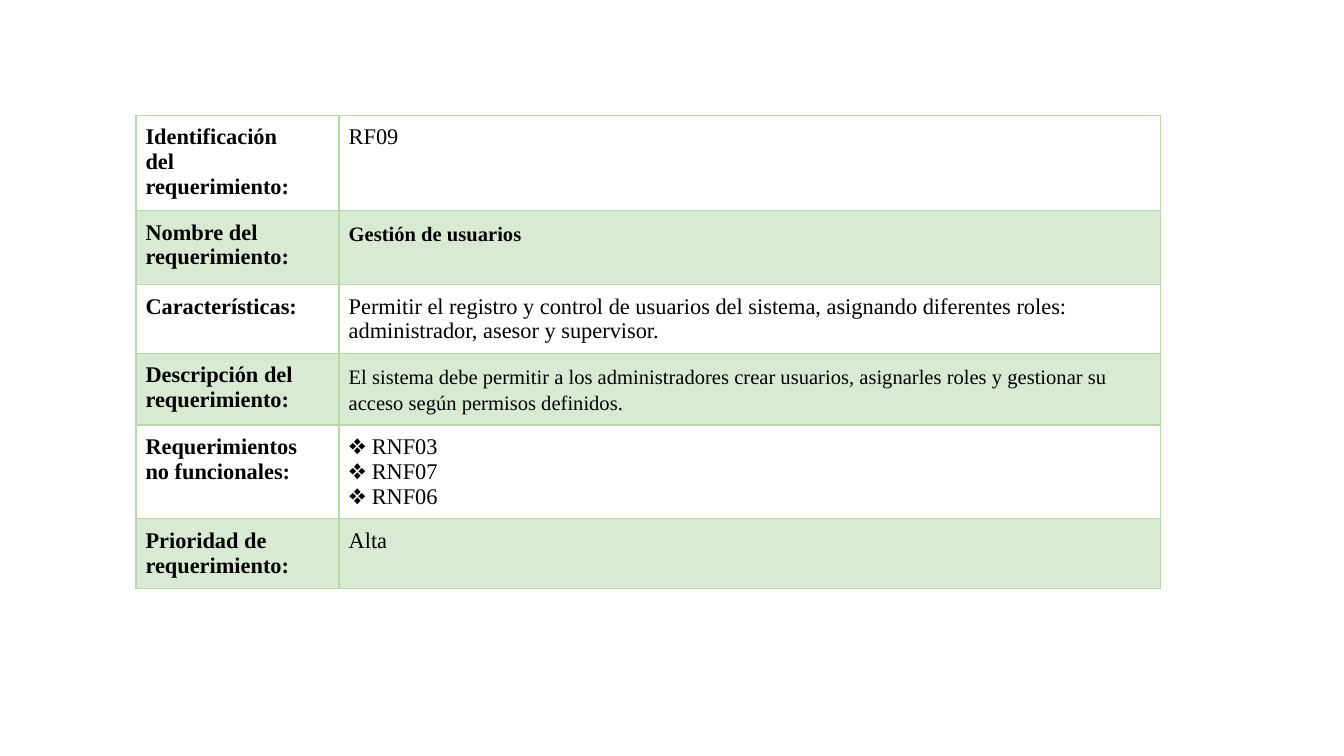
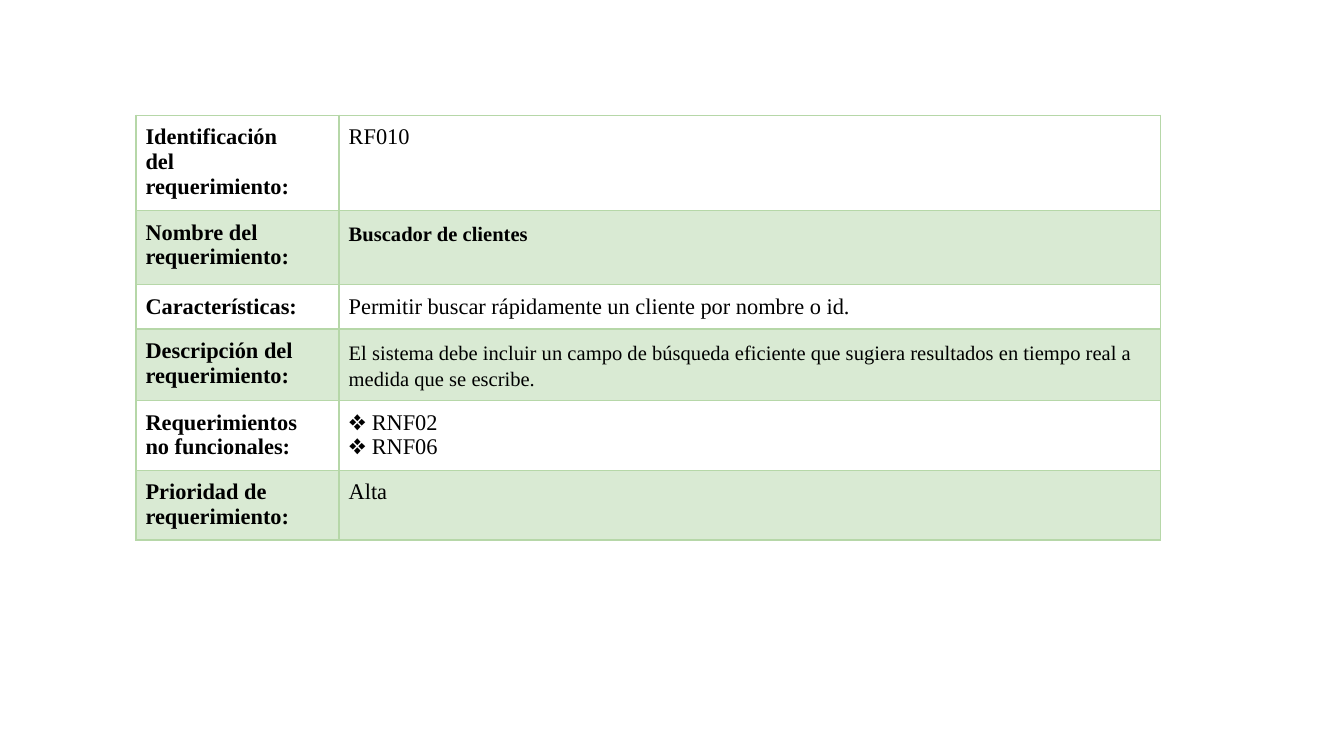
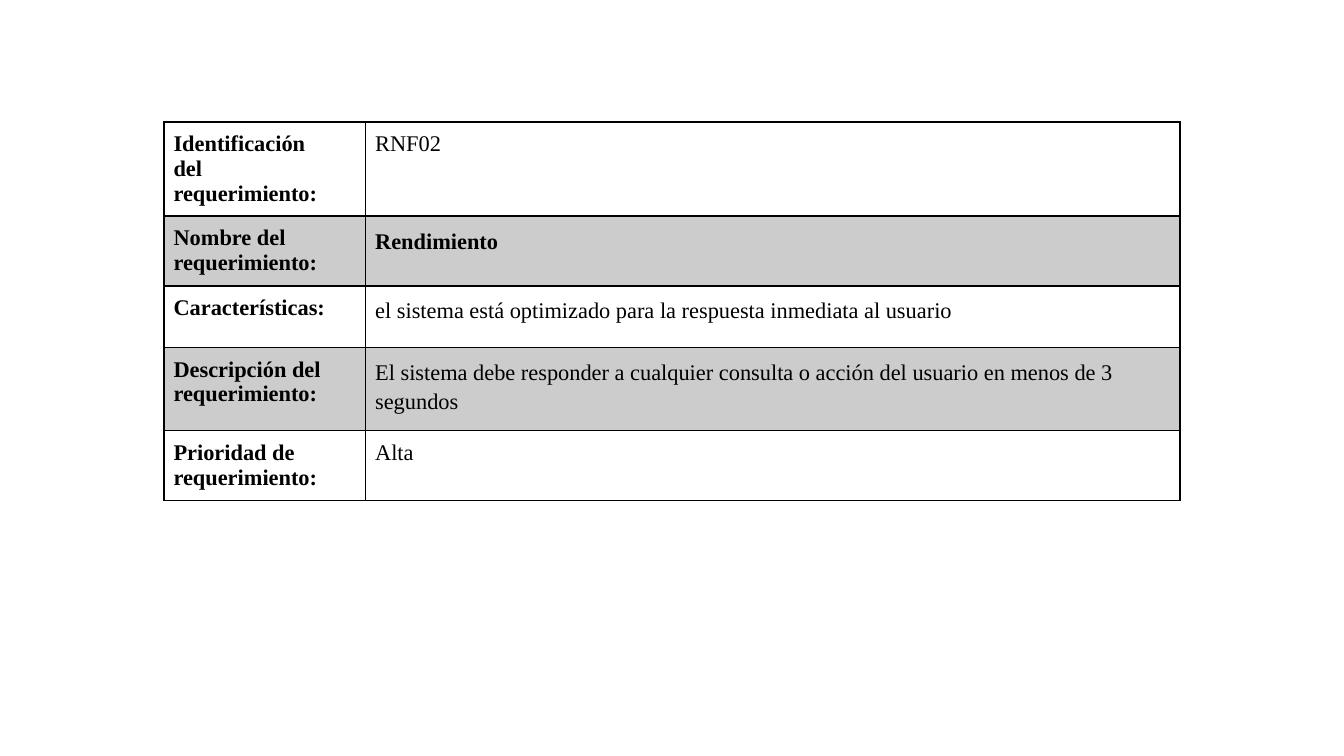
from lxml.etree import SubElement
from pptx import Presentation
from pptx.dml.color import RGBColor
from pptx.oxml.ns import qn
from pptx.util import Cm, Pt

FONT = "Times New Roman"
BLACK = "000000"
GREEN = {"line": "B6D7A8", "band": "D9EAD3"}
GRAY = {"line": BLACK, "band": "CCCCCC"}

ID = "Identificación\ndel\nrequerimiento:"
NAME = "Nombre del\nrequerimiento:"
FEATURES = "Características:"
DESCRIPTION = "Descripción del\nrequerimiento:"
NON_FUNCTIONAL = "Requerimientos\nno funcionales:"
PRIORITY = "Prioridad de\nrequerimiento:"


def rgb(value):
    return RGBColor.from_string(value)


def write(tf, text, size=12, bold=False, color=BLACK, spacing=None, before=None, after=None):
    tf.word_wrap = True
    for i, line in enumerate(text.split("\n")):
        p = tf.paragraphs[0] if i == 0 else tf.add_paragraph()
        p.line_spacing = spacing
        if before is not None:
            p.space_before = Pt(before)
        if after is not None:
            p.space_after = Pt(after)
        r = p.add_run()
        r.text = line
        r.font.name = FONT
        r.font.size = Pt(size)
        r.font.bold = bold
        r.font.color.rgb = rgb(color)


class Deck:
    def __init__(self, prs):
        self.prs = prs
        self.s = None
        self.style = GREEN

    def slide(self, style):
        self.s = self.prs.slides.add_slide(self.prs.slide_layouts[6])
        self.style = style

    def borders(self, cell):
        tcPr = cell._tc.get_or_add_tcPr()
        for side in ("a:lnL", "a:lnR", "a:lnT", "a:lnB"):
            ln = SubElement(tcPr, qn(side), w=str(Pt(1)))
            fill = SubElement(ln, qn("a:solidFill"))
            SubElement(fill, qn("a:srgbClr"), val=self.style["line"])

    def cell(self, cell, text, banded, **fmt):
        cell.margin_left = cell.margin_right = Cm(0.18)
        cell.margin_top = cell.margin_bottom = Cm(0.18)
        self.borders(cell)
        if banded:
            cell.fill.solid()
            cell.fill.fore_color.rgb = rgb(self.style["band"])
        else:
            cell.fill.background()
        write(cell.text_frame, text, **fmt)

    def table(self, left, top, widths, heights, rows):
        frame = self.s.shapes.add_table(
            len(rows), len(widths), Cm(left), Cm(top), Cm(sum(widths)), Cm(sum(heights)))
        table = frame.table
        table.first_row = table.horz_banding = False
        for column, width in zip(table.columns, widths):
            column.width = Cm(width)
        for i, (height, (label, text, fmt)) in enumerate(zip(heights, rows)):
            table.rows[i].height = Cm(height)
            banded = i % 2 == 1
            self.cell(table.cell(i, 0), label, banded, bold=True)
            self.cell(table.cell(i, 1), text, banded, **fmt)


def functional(deck, code, name, features, description, related):
    spaced = {"size": 11, "spacing": 1.15, "before": 12, "after": 12}
    deck.slide(GREEN)
    deck.table(2.57, 2.18, [3.84, 15.52], [1.8, 1.4, 0.84, 1.32, 1.32, 1.32], [
        (ID, code, {}),
        (NAME, name, {**spaced, "bold": True}),
        (FEATURES, features, {}),
        (DESCRIPTION, description, spaced),
        (NON_FUNCTIONAL, "\n".join(f"❖ {item}" for item in related), {}),
        (PRIORITY, "Alta", {}),
    ])


def non_functional(deck, code, name, features, description):
    spaced = {"spacing": 1.15, "after": 12}
    deck.slide(GRAY)
    deck.table(3.1, 2.31, [3.81, 15.39], [1.6, 1.32, 1.17, 1.57, 1.32], [
        (ID, code, {}),
        (NAME, name, {**spaced, "bold": True}),
        (FEATURES, features, spaced),
        (DESCRIPTION, description, spaced),
        (PRIORITY, "Alta", {}),
    ])


def main():
    prs = Presentation()
    prs.slide_width, prs.slide_height = Cm(25.4), Cm(14.29)
    deck = Deck(prs)
    functional(
        deck, "RF09", "Gestión de usuarios",
        "Permitir el registro y control de usuarios del sistema, asignando diferentes roles: "
        "administrador, asesor y supervisor.",
        "El sistema debe permitir a los administradores crear usuarios, asignarles roles y "
        "gestionar su acceso según permisos definidos.",
        ["RNF03", "RNF07", "RNF06"])
    functional(
        deck, "RF010", "Buscador de clientes",
        "Permitir buscar rápidamente un cliente por nombre o id.",
        "El sistema debe incluir un campo de búsqueda eficiente que sugiera resultados en "
        "tiempo real a medida que se escribe.",
        ["RNF02", "RNF06"])
    non_functional(
        deck, "RNF02", "Rendimiento",
        "el sistema está optimizado para la respuesta inmediata al usuario",
        "El sistema debe responder a cualquier consulta o acción del usuario en menos de 3 "
        "segundos")
    prs.save("out.pptx")


if __name__ == "__main__":
    main()
